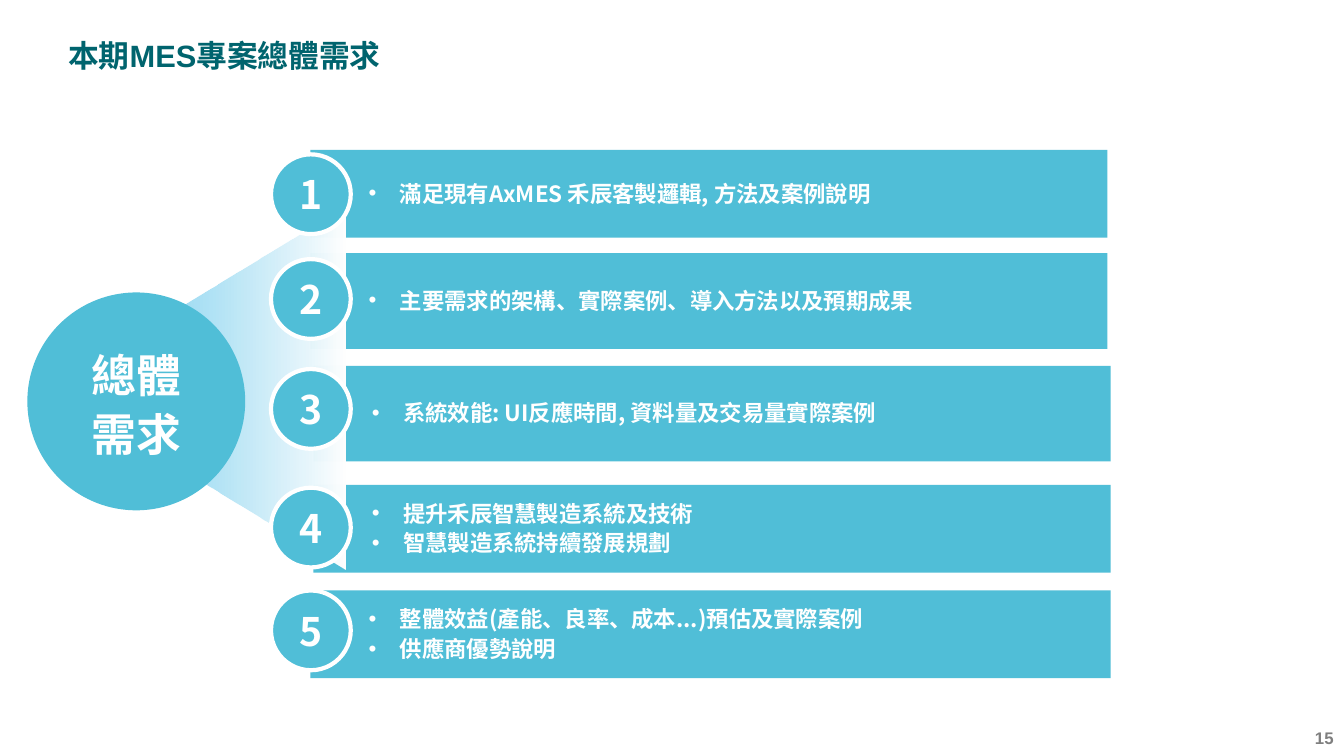
from lxml import etree
from pptx import Presentation
from pptx.dml.color import RGBColor
from pptx.enum.shapes import MSO_SHAPE
from pptx.enum.text import MSO_ANCHOR, PP_ALIGN
from pptx.oxml.ns import qn
from pptx.util import Cm, Pt

RECTANGLE, OVAL = MSO_SHAPE.RECTANGLE, MSO_SHAPE.OVAL
TOP, MIDDLE = MSO_ANCHOR.TOP, MSO_ANCHOR.MIDDLE
LEFT, CENTER, RIGHT = PP_ALIGN.LEFT, PP_ALIGN.CENTER, PP_ALIGN.RIGHT

COLORS = {"teal": "50BED7", "title": "00646E", "sky": "76CEEF",
          "white": "FFFFFF", "gray": "7F7F7F"}
CJK_FONT = "Noto Sans CJK SC"
BAR_INSETS = (0.2, 0, 0.3, 0.1)
SMALL_INSETS = (0.25, 0.13, 0.25, 0.13)
NUMBER_LEFT, NUMBER_SIZE = 6.83, 2.01

# bar left, top, width, height, number top, bullet lines
REQUIREMENTS = [
    (7.82, 3.78, 20.09, 2.21, 3.89, ["滿足現有AxMES 禾辰客製邏輯, 方法及案例說明"]),
    (7.82, 6.38, 20.09, 2.41, 6.53, ["主要需求的架構、實際案例、導入方法以及預期成果"]),
    (7.9, 9.22, 20.09, 2.41, 9.3, ["系統效能: UI反應時間, 資料量及交易量實際案例"]),
    (7.9, 12.22, 20.09, 2.21, 12.29, ["提升禾辰智慧製造系統及技術", "智慧製造系統持續發展規劃"]),
    (7.82, 14.88, 20.17, 2.21, 14.88,
     ["整體效益(產能、良率、成本...)預估及實際案例", "供應商優勢說明"]),
]
BEAM = [(3.33, 8.48), (8.71, 5.21), (8.71, 14.35), (3.33, 11.07), (3.89, 9.78)]


def rgb(name):
    return RGBColor.from_string(COLORS[name])


class SlideBuilder:
    def __init__(self, slide):
        self.shapes = slide.shapes

    def fill_text(self, box, lines, size, color="white", font=CJK_FONT, align=LEFT,
                  anchor=MIDDLE, insets=(0, 0, 0, 0), spacing=None, bullets=False,
                  hanging=None):
        """Fill a box with text; hanging is the left margin and first-line indent."""
        frame = box.text_frame
        sides = ("margin_left", "margin_top", "margin_right", "margin_bottom")
        settings = {"word_wrap": True, "vertical_anchor": anchor,
                    **{side: Cm(inset) for side, inset in zip(sides, insets)}}
        for name, value in settings.items():
            setattr(frame, name, value)
        for index, line in enumerate(lines):
            para = frame.add_paragraph() if index else frame.paragraphs[0]
            if hanging:
                properties = para._p.get_or_add_pPr()
                for name, value in zip(("marL", "indent"), hanging):
                    properties.set(name, str(int(Cm(value))))
            if bullets:
                self.add_bullet(para)
            for name, value in {"alignment": align, "line_spacing": spacing}.items():
                setattr(para, name, value)
            span = para.add_run()
            span.text = line
            for name, value in {"name": font, "size": Pt(size), "bold": True}.items():
                setattr(span.font, name, value)
            span.font.color.rgb = rgb(color)
            east_asian = etree.SubElement(span._r.get_or_add_rPr(), qn("a:ea"))
            east_asian.set("typeface", CJK_FONT)

    def add_bullet(self, para):
        para.level = 1
        properties = para._p.get_or_add_pPr()
        bullet_color = etree.SubElement(properties, qn("a:buClr"))
        etree.SubElement(bullet_color, qn("a:srgbClr")).set("val", COLORS["white"])
        etree.SubElement(properties, qn("a:buFont")).set("typeface", "Arial")
        etree.SubElement(properties, qn("a:buChar")).set("char", "•")

    def text(self, place, line, size, **style):
        box = self.shapes.add_textbox(*map(Cm, place))
        self.fill_text(box, [line], size, font="Arial", anchor=TOP, **style)

    def shape(self, kind, place, lines, size, outline=None, **style):
        box = self.shapes.add_shape(kind, *map(Cm, place))
        box.shadow.inherit = False
        box.fill.solid()
        box.fill.fore_color.rgb = rgb("teal")
        if outline:
            box.line.color.rgb = rgb("white")
            box.line.width = Pt(outline)
        else:
            box.line.fill.background()
        self.fill_text(box, lines, size, **style)

    def beam(self, points):
        """Draw an outline that fades from sky blue to white, left to right."""
        corners = [(Cm(x), Cm(y)) for x, y in points]
        builder = self.shapes.build_freeform(*corners[0])
        builder.add_line_segments(corners[1:], close=True)
        beam = builder.convert_to_shape()
        beam.shadow.inherit = False
        beam.line.fill.background()
        beam.fill.gradient()
        beam.fill.gradient_angle = 0
        for stop, color in zip(beam.fill.gradient_stops, ("sky", "white")):
            stop.color.rgb = rgb(color)
        first_color = beam._element.spPr.find(".//" + qn("a:srgbClr"))
        etree.SubElement(first_color, qn("a:alpha")).set("val", "84000")


def main():
    deck = Presentation()
    deck.slide_width, deck.slide_height = Cm(33.87), Cm(19.05)
    page = SlideBuilder(deck.slides.add_slide(deck.slide_layouts[6]))

    page.text((32.31, 18.21, 1.55, 0.84), "15", 12, color="gray", align=RIGHT,
              insets=SMALL_INSETS)
    for left, top, width, height, _, lines in REQUIREMENTS:
        page.shape(RECTANGLE, (left, top, width, height), lines, 16, spacing=1.1,
                   insets=BAR_INSETS, bullets=True, hanging=(2.06, -0.79))
    page.beam(BEAM)
    page.shape(OVAL, (0.69, 7.37, 5.49, 5.49), ["總體", "需求"], 32, align=CENTER, spacing=1.1)
    for number, (*_, number_top, _) in enumerate(REQUIREMENTS, 1):
        page.shape(OVAL, (NUMBER_LEFT, number_top, NUMBER_SIZE, NUMBER_SIZE), [str(number)], 28,
                   outline=3, align=CENTER, insets=SMALL_INSETS)
    page.text((-0.03, 0.2, 33.86, 3.99), "本期MES專案總體需求", 22, color="title",
              insets=(1.75, 1.19, 5.89, 0.66), hanging=(0.94, -0.94))
    deck.save("out.pptx")


if __name__ == "__main__":
    main()
